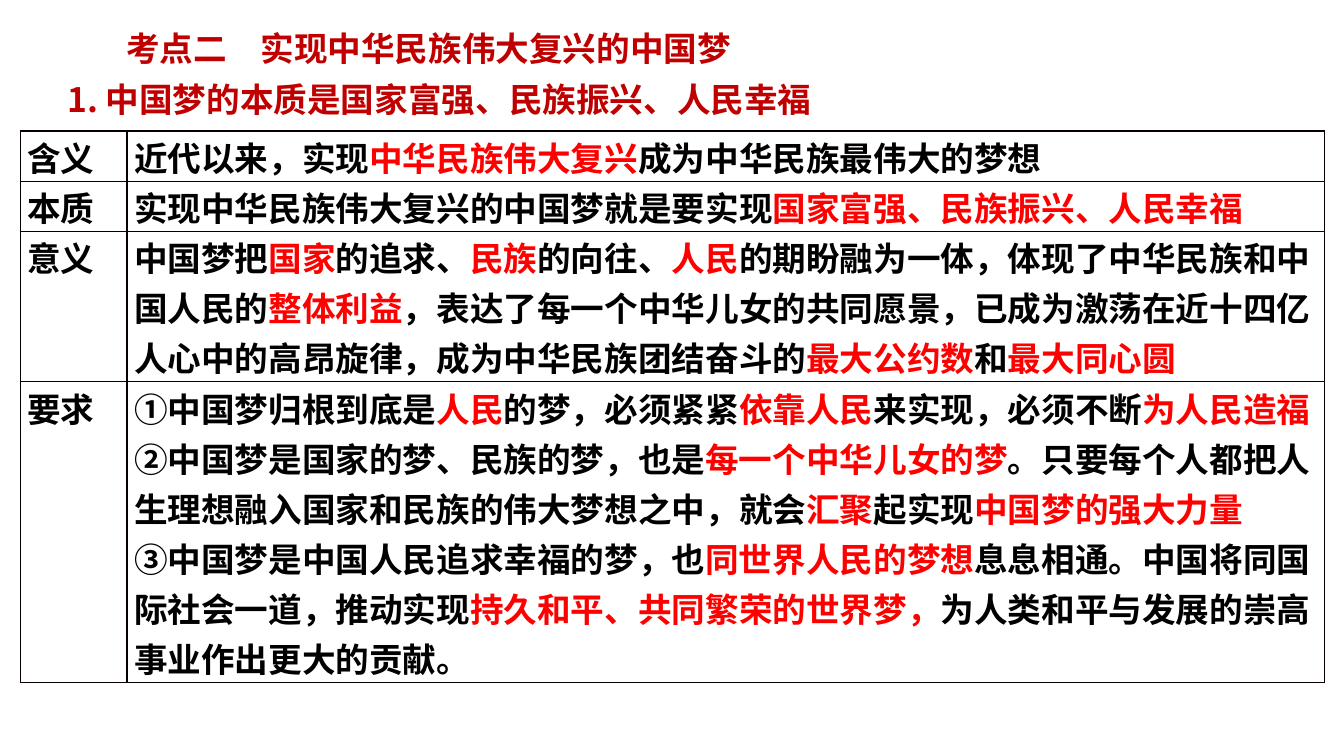
from pptx import Presentation
from pptx.dml.color import RGBColor
from pptx.enum.lang import MSO_LANGUAGE_ID
from pptx.enum.text import MSO_ANCHOR, PP_ALIGN
from pptx.oxml import parse_xml
from pptx.oxml.ns import nsdecls
from pptx.util import Inches, Pt

TOP = MSO_ANCHOR.TOP
LEFT = PP_ALIGN.LEFT
CHINESE = MSO_LANGUAGE_ID.SIMPLIFIED_CHINESE
TITLE_ONLY = 5

COLORS = {"heading": "C00000", "body": "000000", "key": "FF0000", "border": "080000"}
HEADING_FONT = "Arial"
BODY_FONT = "Noto Sans CJK SC"

# Key phrases stand between asterisks; each string is one paragraph
ROWS = [
    (0.4, "含义", ["近代以来，实现*中华民族伟大复兴*成为中华民族最伟大的梦想"]),
    (0.4, "本质", ["实现中华民族伟大复兴的中国梦就是要实现*国家富强、民族振兴、人民幸福*"]),
    (1.2, "意义", [
        "中国梦把*国家*的追求、*民族*的向往、*人民*的期盼融为一体，体现了中华民族和中国人民的"
        "*整体利益*，表达了每一个中华儿女的共同愿景，已成为激荡在近十四亿人心中的高昂旋律，"
        "成为中华民族团结奋斗的*最大公约数*和*最大同心圆*"]),
    (2.9, "要求", [
        "①中国梦归根到底是*人民*的梦，必须紧紧*依靠人民*来实现，必须不断*为人民造福*",
        "②中国梦是国家的梦、民族的梦，也是*每一个中华儿女的梦*。只要每个人都把人生理想融入"
        "国家和民族的伟大梦想之中，就会*汇聚*起实现*中国梦的强大力量*",
        "③中国梦是中国人民追求幸福的梦，也*同世界人民的梦想*息息相通。中国将同国际社会一道，"
        "推动实现*持久和平、共同繁荣的世界梦，*为人类和平与发展的崇高事业作出更大的贡献。"]),
]


def set_all(target, values):
    for name, value in values.items():
        setattr(target, name, value)


class SlideBuilder:
    font_format = {"size": Pt(24), "bold": True, "language_id": CHINESE}
    cell_format = {"margin_left": Inches(0.07), "margin_right": Inches(0.07),
                   "margin_top": 0, "margin_bottom": 0, "vertical_anchor": TOP}

    def __init__(self, slide):
        self.slide = slide

    def add_text(self, frame, paragraphs, color, font=BODY_FONT, spacing=None):
        for index, text in enumerate(paragraphs):
            paragraph = frame.add_paragraph() if index else frame.paragraphs[0]
            set_all(paragraph, {"alignment": LEFT, "line_spacing": spacing})
            for part, phrase in enumerate(text.split("*")):
                if not phrase:
                    continue
                run = paragraph.add_run()
                run.text = phrase
                set_all(run.font, {**self.font_format, "name": font})
                run.font.color.rgb = RGBColor.from_string(COLORS["key" if part % 2 else color])
                run.font._element.append(
                    parse_xml(f'<a:ea {nsdecls("a")} typeface="{font}"/>'))

    def title(self, box, text):
        heading = self.slide.shapes.title
        set_all(heading, dict(zip(("left", "top", "width", "height"), map(Inches, box))))
        set_all(heading.text_frame, {"vertical_anchor": TOP, "word_wrap": True})
        self.add_text(heading.text_frame, [text], "heading", HEADING_FONT, 1.5)

    def subtitle(self, box, text):
        frame = self.slide.shapes.add_textbox(*map(Inches, box)).text_frame
        frame.word_wrap = False
        self.add_text(frame, [text], "heading")

    def cell(self, cell, paragraphs):
        set_all(cell, self.cell_format)
        self.add_text(cell.text_frame, paragraphs, "body", spacing=Pt(35.8))
        properties = cell._tc.get_or_add_tcPr()
        for side in ("lnL", "lnR", "lnT", "lnB"):
            properties.append(parse_xml(
                f'<a:{side} {nsdecls("a")} w="{Pt(1)}"><a:solidFill>'
                f'<a:srgbClr val="{COLORS["border"]}"/></a:solidFill></a:{side}>'))
        cell.fill.background()

    def table(self, box, widths, rows):
        frame = self.slide.shapes.add_table(len(rows), len(widths), *map(Inches, box))
        table = frame.table
        set_all(table, {"first_row": False, "horz_banding": False})
        for column, width in zip(table.columns, widths):
            column.width = Inches(width)
        for index, (height, label, paragraphs) in enumerate(rows):
            table.rows[index].height = Inches(height)
            self.cell(table.cell(index, 0), [label])
            self.cell(table.cell(index, 1), paragraphs)


def main():
    deck = Presentation()
    set_all(deck, {"slide_width": Inches(13.33), "slide_height": Inches(7.5)})
    builder = SlideBuilder(deck.slides.add_slide(deck.slide_layouts[TITLE_ONLY]))

    # Headings
    builder.title((1.15, 0.03, 11.29, 0.71), "考点二　实现中华民族伟大复兴的中国梦")
    builder.subtitle((0.57, 0.73, 7.73, 0.91), "1. 中国梦的本质是国家富强、民族振兴、人民幸福")

    # Meaning, essence, significance and requirements
    builder.table((0.2, 1.3, 12.94, 4.9), (1.06, 11.88), ROWS)

    deck.save("out.pptx")


if __name__ == "__main__":
    main()
